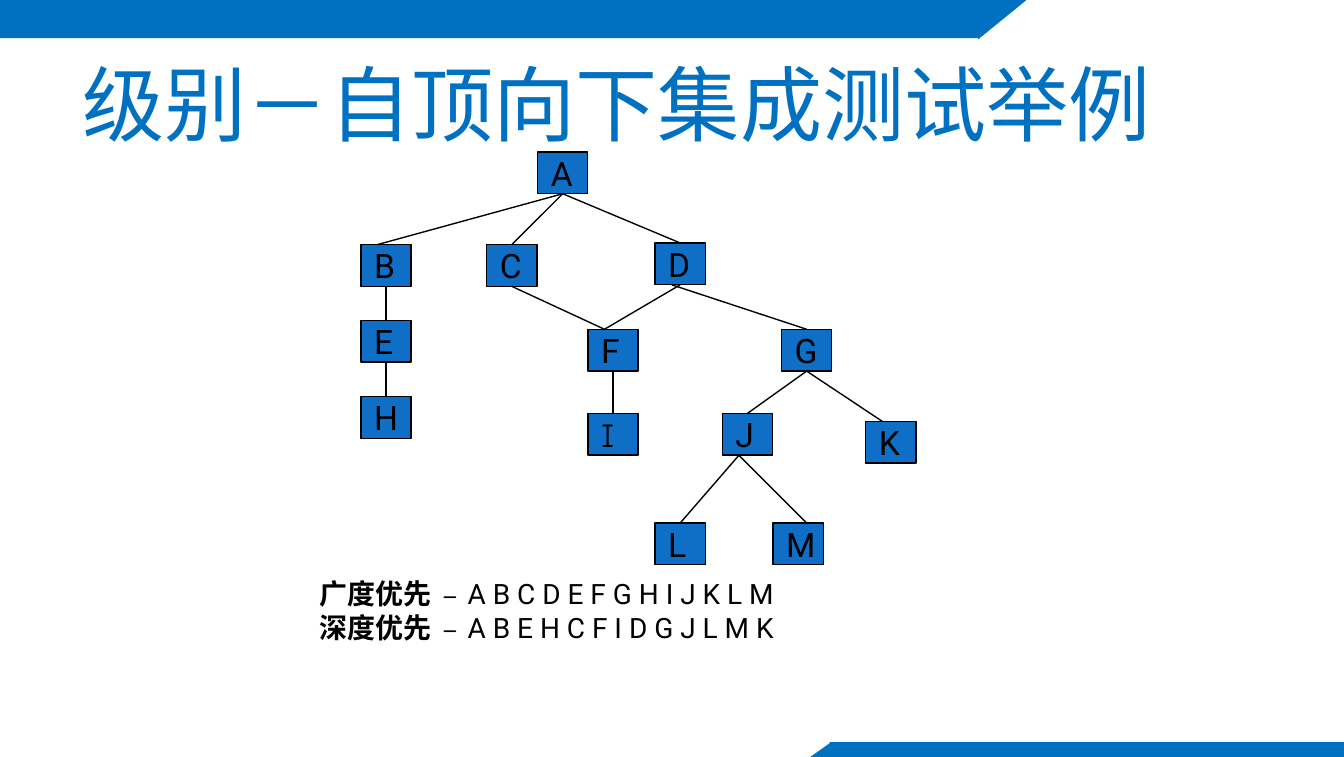
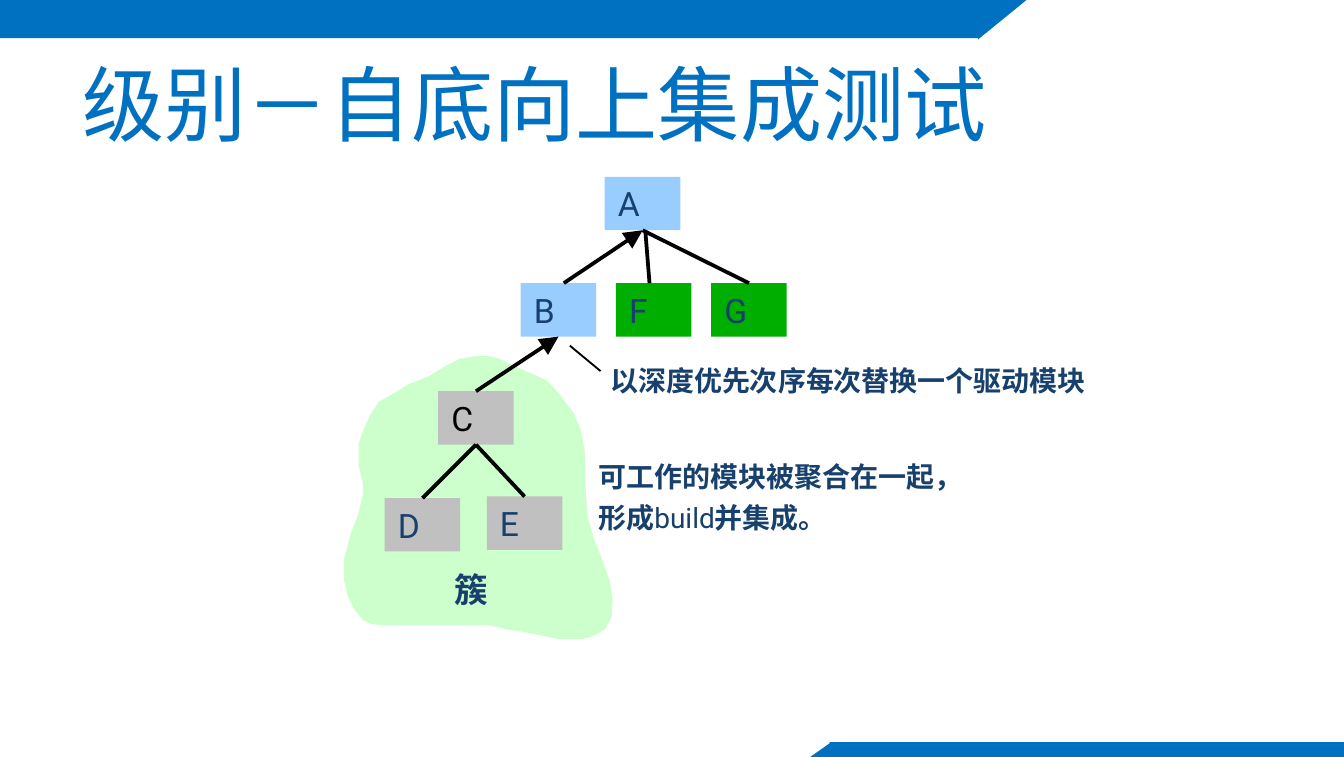
import lxml.etree
import pptx
import pptx.dml.color
import pptx.enum.shapes
import pptx.enum.text
import pptx.oxml.ns
import pptx.util

Cm = pptx.util.Cm
Pt = pptx.util.Pt
qn = pptx.oxml.ns.qn
SHAPE = pptx.enum.shapes.MSO_SHAPE
STRAIGHT = pptx.enum.shapes.MSO_CONNECTOR.STRAIGHT
MIDDLE = pptx.enum.text.MSO_ANCHOR.MIDDLE
LEFT = pptx.enum.text.PP_ALIGN.LEFT
colour = pptx.dml.color.RGBColor.from_string

BLUE, WHITE, BLACK, NAVY = "0070C0", "FFFFFF", "000000", "17406D"
NODE_BLUE, SKY, GREY, GREEN, MINT = "0F6FC6", "99CCFF", "C0C0C0", "00AE00", "CCFFCC"
BOTTOM, TOP = 2, 0


def add_span(para, text, size, font, hue, bold=False):
    span = para.add_run()
    span.text = text
    span.font.size = Pt(size)
    span.font.name = font
    span.font.bold = bold
    span.font.color.rgb = colour(hue)
    east_asian = lxml.etree.SubElement(span.font._element, qn("a:ea"))
    east_asian.set("typeface", "Comic Neue" if font == "Roboto" else font)


def add_line(page, start, end, width, arrow=False):
    """Draw a straight line between two points in centimetres."""
    line = page.shapes.add_connector(STRAIGHT, *(Cm(value) for value in start + end))
    line.line.color.rgb = colour(BLACK)
    line.line.width = Pt(width)
    properties = line.element.spPr
    if arrow:
        lxml.etree.SubElement(properties.find(qn("a:ln")), qn("a:tailEnd"),
                              type="triangle", w="lg", len="lg")
    lxml.etree.SubElement(properties, qn("a:effectLst"))
    return line


deck = pptx.Presentation()
deck.slide_width, deck.slide_height = Cm(25.4), Cm(14.3)

# Bands and title shared by both slides
bands = [
    (SHAPE.RECTANGLE, 0, 0, 25.4, 0.72, 0, BLUE),
    (SHAPE.RECTANGLE, 18.49, 0, 6.91, 0.97, 0, WHITE),
    (SHAPE.RECTANGLE, 15.68, 14.02, 9.75, 0.3, 0, BLUE),
    (SHAPE.RIGHT_TRIANGLE, 18.57, -0.08, 0.74, 0.91, 90, BLUE),
    (SHAPE.RIGHT_TRIANGLE, 15.34, 13.97, 0.3, 0.41, 271, BLUE),
]
titles = [("级别－", "自顶向下", "集成测试举例"), ("级别－", "自底向上", "集成测试")]
pages = []
for title in titles:
    page = deck.slides.add_slide(deck.slide_layouts[6])
    pages.append(page)
    for preset, left, top, width, height, angle, hue in bands:
        band = page.shapes.add_shape(preset, Cm(left), Cm(top), Cm(width), Cm(height))
        band.rotation = angle
        band.shadow.inherit = False
        band.fill.solid()
        band.fill.fore_color.rgb = colour(hue)
        band.line.fill.background()
    box = page.shapes.add_textbox(Cm(1.31), Cm(0.74), Cm(22.86), Cm(2.39))
    box.text_frame.word_wrap = True
    box.text_frame.vertical_anchor = MIDDLE
    for text, font in zip(title, ("Montserrat", "Noto Sans CJK SC", "Montserrat")):
        add_span(box.text_frame.paragraphs[0], text, 44, font, BLUE)
top_down, bottom_up = pages

# Cluster outline behind the bottom-up tree, in hundredths of a centimetre
cluster_points = [
    (1034, 719), (1001, 704), (970, 691), (945, 678), (925, 673), (899, 673),
    (869, 678), (843, 691), (810, 711), (772, 726), (734, 749), (716, 759),
    (699, 785), (686, 815), (678, 838), (678, 881), (686, 912), (686, 935),
    (676, 975), (663, 1008), (650, 1057), (650, 1095), (658, 1128), (671, 1153),
    (686, 1171), (701, 1179), (724, 1181), (925, 1181), (958, 1189), (991, 1194),
    (1054, 1207), (1102, 1207), (1123, 1201), (1143, 1189), (1156, 1166),
    (1158, 1135), (1153, 1100), (1140, 1062), (1123, 1019), (1110, 975),
    (1107, 925), (1105, 851), (1097, 810), (1085, 782), (1057, 744),
]
outline = bottom_up.shapes.build_freeform(*cluster_points[0], scale=Cm(0.01))
outline.add_line_segments(cluster_points[1:], close=True)
cluster = outline.convert_to_shape()
cluster.shadow.inherit = False
cluster.fill.solid()
cluster.fill.fore_color.rgb = colour(MINT)
cluster.line.fill.background()

# Trees: node = letter, left, top, fill, text colour
top_down_nodes = [(letter, left, top, NODE_BLUE, BLACK) for letter, left, top in [
    ("A", 10.16, 2.87), ("B", 6.82, 4.62), ("E", 6.82, 6.05), ("H", 6.82, 7.49),
    ("C", 9.2, 4.62), ("D", 12.38, 4.59), ("F", 11.11, 6.22), ("I", 11.11, 7.81),
    ("G", 14.77, 6.22), ("J", 13.65, 7.81), ("L", 12.38, 9.88), ("M", 14.61, 9.88),
    ("K", 16.36, 7.96)]]
bottom_up_nodes = [
    ("A", 11.43, 3.34, SKY, NAVY), ("B", 9.84, 5.35, SKY, NAVY),
    ("C", 8.28, 7.39, GREY, BLACK), ("D", 7.27, 9.41, GREY, NAVY),
    ("E", 9.2, 9.38, GREY, NAVY), ("F", 11.64, 5.35, GREEN, NAVY),
    ("G", 13.44, 5.35, GREEN, NAVY),
]
# Edge = parent, child, sideways shift at the parent, at the child
top_down_edges = [
    ("A", "B", 0, -0.16), ("B", "E", 0, 0), ("E", "H", 0, 0), ("A", "C", 0, 0),
    ("C", "F", 0, -0.16), ("D", "F", 0, -0.16), ("F", "I", 0, 0),
    ("D", "G", -0.16, 0), ("G", "J", 0, 0), ("G", "K", 0, -0.16),
    ("J", "L", -0.16, 0), ("J", "M", -0.16, 0.16), ("A", "D", 0, 0),
]
bottom_up_edges = [
    ("A", "B", 0, 0.1), ("B", "C", 0, 0), ("C", "D", 0, 0), ("C", "E", 0, 0),
    ("A", "F", 0.05, -0.08), ("A", "G", 0, 0),
]
arrows = {"AB", "BC"}

trees = [
    (top_down, top_down_nodes, top_down_edges, 0.95, 0.79, 0.75, 0.75, set()),
    (bottom_up, bottom_up_nodes, bottom_up_edges, 1.43, 1.01, 0, 2, arrows),
]
for page, nodes, edges, width, height, border, weight, arrow_edges in trees:
    boxes = {}
    corners = {}
    for letter, left, top, fill, hue in nodes:
        box = page.shapes.add_shape(SHAPE.RECTANGLE, Cm(left), Cm(top), Cm(width), Cm(height))
        box.shadow.inherit = False
        box.fill.solid()
        box.fill.fore_color.rgb = colour(fill)
        if border:
            box.line.color.rgb = colour(BLACK)
            box.line.width = Pt(border)
        else:
            box.line.fill.background()
        box.text_frame.word_wrap = False
        box.text_frame.vertical_anchor = MIDDLE
        para = box.text_frame.paragraphs[0]
        para.alignment = LEFT
        font = "Comic Neue" if letter == "I" else "Roboto"
        add_span(para, letter, 18, font, hue)
        boxes[letter] = box
        corners[letter] = left, top

    for parent, child, parent_shift, child_shift in edges:
        left, top = corners[parent]
        upper = (left + width / 2 + parent_shift, top + height)
        left, top = corners[child]
        lower = (left + width / 2 + child_shift, top)
        line = add_line(page, lower, upper, weight, parent + child in arrow_edges)
        if not child_shift:
            line.begin_connect(boxes[child], TOP)
        if not parent_shift:
            line.end_connect(boxes[parent], BOTTOM)

add_line(bottom_up, (10.77, 6.53), (11.35, 7.01), 1)

# Captions: page, position, insets, gap between paragraphs, size, font, colour,
# paragraphs of (text, bold)
captions = [
    (top_down, (5.79, 10.77, 9.45, 1.52), (0.25, 0.13), 0, 15, "Roboto", BLACK,
     [[("广度优先 ", True), ("– A B C D E F G H I J K L M", False)],
      [("深度优先 ", True), ("– A B E H C F I D G J L M K", False)]]),
    (bottom_up, (11.35, 6.76, 9.37, 0.81), (0.18, 0.1), 0, 15, "Comic Neue", NAVY,
     [[("以深度优先次序每次替换一个驱动模块", True)]]),
    (bottom_up, (11.13, 8.59, 7.26, 1.6), (0.18, 0.1), 3.7, 15, "Roboto", NAVY,
     [[("可工作的模块被聚合在一起，", True)],
      [("形成", True), ("build", False), ("并集成。", True)]]),
    (bottom_up, (8.41, 10.64, 1.02, 0.94), (0.18, 0.1), 0, 18, "Arial", NAVY,
     [[("簇", True)]]),
]
for page, place, (side, edge), gap, size, font, hue, paragraphs in captions:
    box = page.shapes.add_textbox(*(Cm(value) for value in place))
    frame = box.text_frame
    frame.word_wrap = False
    frame.margin_left = frame.margin_right = Cm(side)
    frame.margin_top = frame.margin_bottom = Cm(edge)
    for index, spans in enumerate(paragraphs):
        para = frame.add_paragraph() if index else frame.paragraphs[0]
        if index and gap:
            para.space_before = Pt(gap)
        for text, bold in spans:
            add_span(para, text, size, font, hue, bold)

deck.save("out.pptx")
